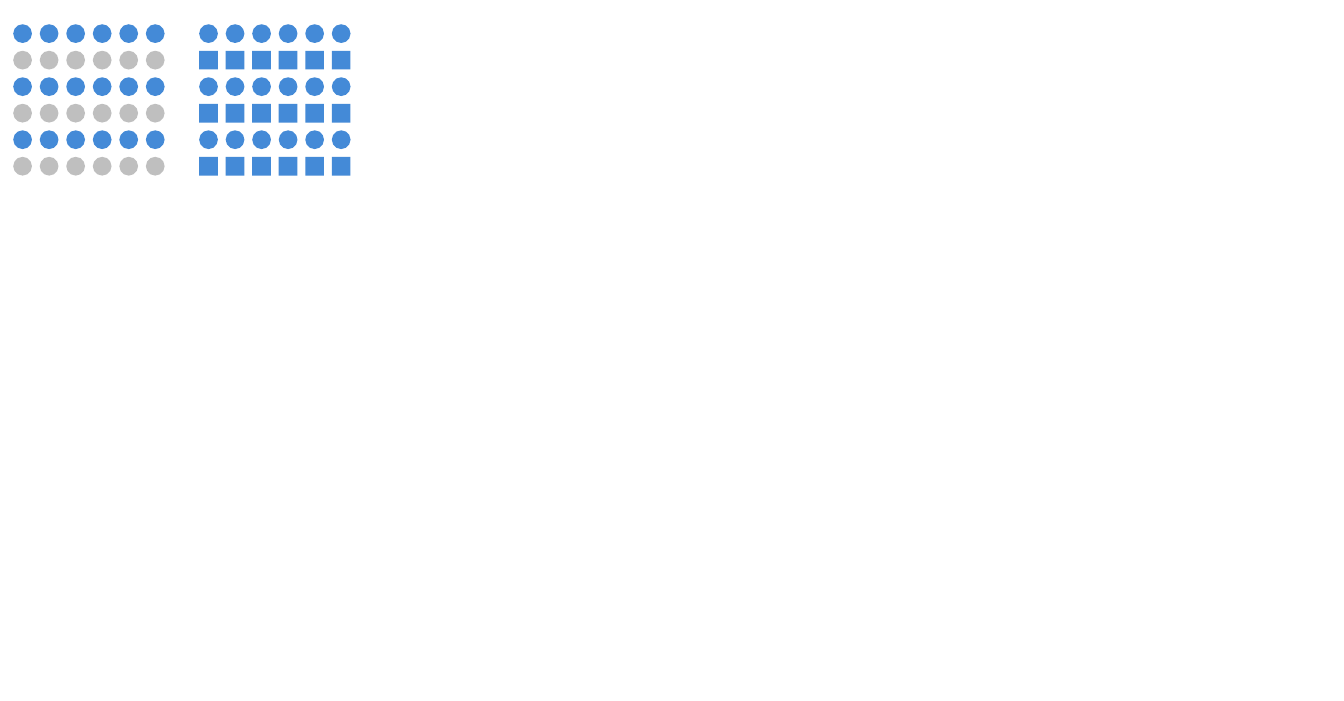
from dataclasses import dataclass

from pptx import Presentation
from pptx.dml.color import RGBColor
from pptx.enum.shapes import MSO_SHAPE as Geo
from pptx.shapes.shapetree import GroupShapes, SlideShapes
from pptx.util import Pt

WIDTH, HEIGHT = 651.97, 340.16
BLUE, GRAY = "448AD7", "BFBFBF"
COUNT = 6
SIZE = 9.1
PITCH = 12.87
TOP = 11.75


@dataclass(frozen=True)
class Mark:
    """The look of every mark in a row."""
    form: Geo
    fill: str


@dataclass(frozen=True)
class Grid:
    """A square grid whose rows take turns between marks."""
    left: float
    marks: tuple[Mark, ...]


DOT = Mark(Geo.OVAL, BLUE)
COLOR = Grid(6.4, (DOT, Mark(Geo.OVAL, GRAY)))
FORM = Grid(96.6, (DOT, Mark(Geo.RECTANGLE, BLUE)))


def color(code: str) -> RGBColor:
    """Turn a hex string into a colour."""
    return RGBColor.from_string(code)


def draw_mark(shapes: SlideShapes | GroupShapes, mark: Mark,
              left: float, top: float) -> None:
    """Draw one mark without outline or shadow."""
    shape = shapes.add_shape(mark.form, Pt(left), Pt(top), Pt(SIZE), Pt(SIZE))
    shape.fill.solid()
    shape.fill.fore_color.rgb = color(mark.fill)
    shape.line.fill.background()
    shape.shadow.inherit = False


def draw_grid(shapes: SlideShapes | GroupShapes, grid: Grid) -> None:
    """Draw the rows of a grid at an equal pitch."""
    for row in range(COUNT):
        mark = grid.marks[row % len(grid.marks)]
        for col in range(COUNT):
            draw_mark(shapes, mark, grid.left + col * PITCH, TOP + row * PITCH)


def main() -> None:
    """Build the slide with both grids."""
    deck = Presentation()
    deck.slide_width, deck.slide_height = Pt(WIDTH), Pt(HEIGHT)
    slide = deck.slides.add_slide(deck.slide_layouts[6])
    draw_grid(slide.shapes.add_group_shape().shapes, COLOR)
    draw_grid(slide.shapes, FORM)
    deck.save("out.pptx")


main()
